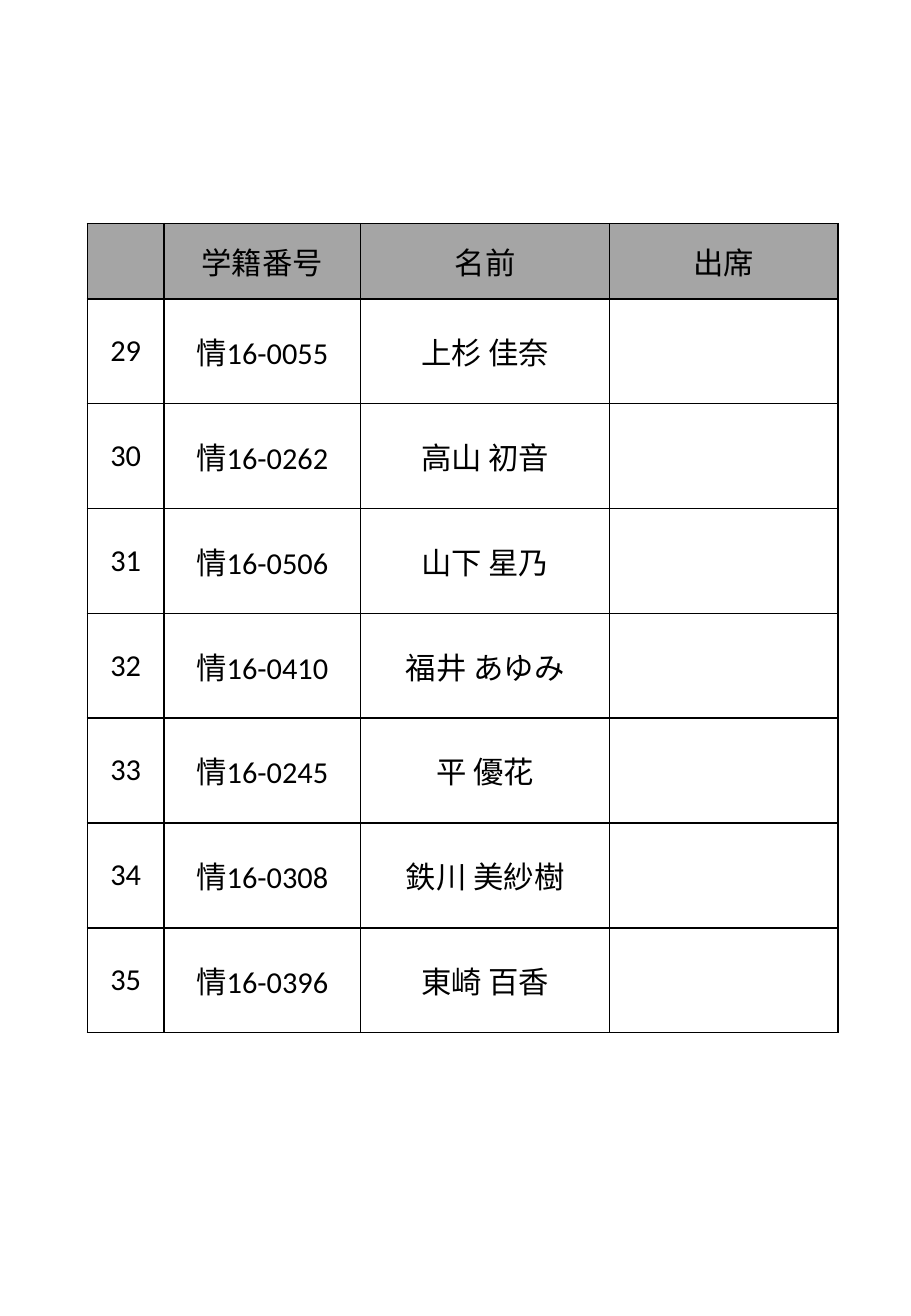
from lxml.etree import SubElement
from pptx import Presentation
from pptx.dml.color import RGBColor
from pptx.enum.text import MSO_ANCHOR, PP_ALIGN
from pptx.oxml.ns import qn
from pptx.util import Inches, Pt

BLACK = RGBColor(0x00, 0x00, 0x00)
WHITE = RGBColor(0xFF, 0xFF, 0xFF)
GRAY = RGBColor(0xA5, 0xA5, 0xA5)

HEADERS = ["", "学籍番号", "名前", "出席"]
FIRST_NUMBER = 29
STUDENTS = [
    ("情16-0055", "上杉 佳奈"),
    ("情16-0262", "高山 初音"),
    ("情16-0506", "山下 星乃"),
    ("情16-0410", "福井 あゆみ"),
    ("情16-0245", "平 優花"),
    ("情16-0308", "鉄川 美紗樹"),
    ("情16-0396", "東崎 百香"),
]
COL_WIDTHS = [0.63, 1.62, 2.05, 1.88]
HEADER_HEIGHT = 0.62


def add_borders(cell):
    tc_pr = cell._tc.get_or_add_tcPr()
    for side in ("lnL", "lnR", "lnT", "lnB"):
        ln = SubElement(tc_pr, qn(f"a:{side}"), w=str(Pt(1)))
        fill = SubElement(ln, qn("a:solidFill"))
        SubElement(fill, qn("a:srgbClr"), val=str(BLACK))


def format_cell(cell, text, color):
    add_borders(cell)
    cell.fill.solid()
    cell.fill.fore_color.rgb = color
    cell.vertical_anchor = MSO_ANCHOR.MIDDLE
    p = cell.text_frame.paragraphs[0]
    p.alignment = PP_ALIGN.CENTER
    p.font.size = Pt(18)
    if text:
        r = p.add_run()
        r.text = text
        r.font.name = "Calibri"
        r.font.size = Pt(18)
        r.font.color.rgb = BLACK


def add_attendance_table(slide, left, top, width, height):
    rows = [HEADERS]
    for number, (student_id, name) in enumerate(STUDENTS, FIRST_NUMBER):
        rows.append([str(number), student_id, name, ""])
    table = slide.shapes.add_table(
        len(rows), len(HEADERS), Inches(left), Inches(top), Inches(width), Inches(height)
    ).table
    table.horz_banding = False
    for col, col_width in zip(table.columns, COL_WIDTHS):
        col.width = Inches(width * col_width / sum(COL_WIDTHS))
    row_height = (height - HEADER_HEIGHT) / len(STUDENTS)
    for i, values in enumerate(rows):
        table.rows[i].height = Inches(row_height if i else HEADER_HEIGHT)
        for j, text in enumerate(values):
            format_cell(table.cell(i, j), text, WHITE if i else GRAY)


def main():
    prs = Presentation()
    prs.slide_width = Inches(7.5)
    prs.slide_height = Inches(10.83)
    slide = prs.slides.add_slide(prs.slide_layouts[6])
    add_attendance_table(slide, 0.72, 1.84, 6.18, 6.66)
    prs.save("out.pptx")


if __name__ == "__main__":
    main()
